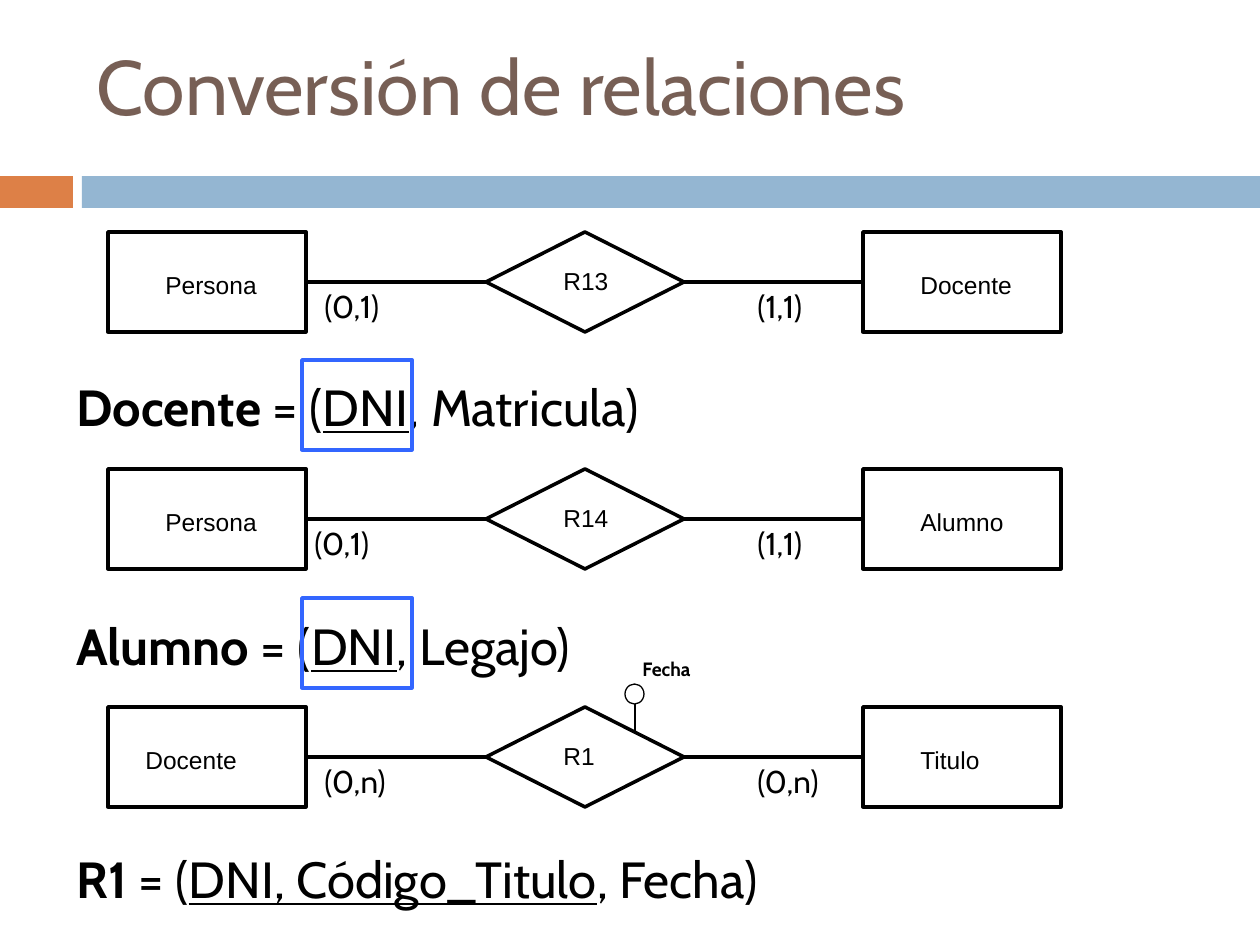
from dataclasses import dataclass

from pptx import Presentation
from pptx.dml.color import RGBColor
from pptx.enum.shapes import MSO_CONNECTOR as CONN, MSO_SHAPE as SHAPE
from pptx.enum.text import MSO_ANCHOR as ANCHOR, MSO_AUTO_SIZE as AUTO, PP_ALIGN as ALIGN
from pptx.util import Emu, Pt
from lxml.etree import SubElement
from pptx.oxml.ns import qn

BLACK = RGBColor(0x00, 0x00, 0x00)
BROWN = RGBColor(0x77, 0x5F, 0x55)
ORANGE = RGBColor(0xDD, 0x80, 0x47)
LIGHT_BLUE = RGBColor(0x94, 0xB6, 0xD2)
KEY_BLUE = RGBColor(0x33, 0x66, 0xFF)

PX_PER_INCH = 126
BOX_W, BOX_H = 198, 100
LEFT_X, DIAMOND_X, RIGHT_X = 108, 486, 863


@dataclass(frozen=True)
class Run:
    text: str
    bold: bool = False
    underline: bool = False


@dataclass(frozen=True)
class Relation:
    top: int
    left: str
    name: str
    right: str
    left_card: str
    right_card: str
    formula_y: int
    formula: tuple[Run, ...]
    left_label_x: int = 153
    left_card_x: int = 312


def formula(table: str, key: str, rest: str) -> tuple[Run, ...]:
    return Run(table, bold=True), Run(" = ("), Run(key, underline=True), Run(rest)


RELATIONS = (
    Relation(232, "Persona", "R13", "Docente", "(0,1)", "(1,1)", 370,
             formula("Docente", "DNI", ", Matricula)")),
    Relation(469, "Persona", "R14", "Alumno", "(0,1)", "(1,1)", 609,
             formula("Alumno", "DNI", ", Legajo)"), left_card_x=302),
    Relation(707, "Docente", "R1", "Titulo", "(0,n)", "(0,n)", 842,
             formula("R1", "DNI, Código_Titulo", ", Fecha)"), left_label_x=133),
)
KEY_TOPS = (360, 598)


def px(n: int) -> Emu:
    return Emu(round(n * 914400 / PX_PER_INCH))


def place(x: int, y: int, w: int, h: int) -> tuple[Emu, ...]:
    return px(x), px(y), px(w), px(h)


def add_runs(p, runs: tuple[Run, ...], size: int, font: str, color: RGBColor) -> None:
    for run in runs:
        r = p.add_run()
        r.text = run.text
        r.font.size, r.font.name = Pt(size), font
        r.font.bold, r.font.underline = run.bold, run.underline
        r.font.color.rgb = color


def add_text(s, x: int, y: int, w: int, h: int, runs: tuple[Run, ...],
             size: int, font: str = "Cabin") -> None:
    tf = s.shapes.add_textbox(*place(x, y, w, h)).text_frame
    tf.word_wrap, tf.auto_size = True, AUTO.SHAPE_TO_FIT_TEXT
    add_runs(tf.paragraphs[0], runs, size, font, BLACK)


def add_bar(s, x: int, w: int, color: RGBColor) -> None:
    sp = s.shapes.add_shape(SHAPE.RECTANGLE, *place(x, 176, w, 32))
    sp.shadow.inherit = False
    sp.fill.solid()
    sp.fill.fore_color.rgb = color
    sp.line.fill.background()


def add_outline(s, kind: SHAPE, x: int, y: int, w: int, h: int,
                color: RGBColor = BLACK, width: float = 2) -> None:
    sp = s.shapes.add_shape(kind, *place(x, y, w, h))
    sp.shadow.inherit = False
    sp.fill.background()
    sp.line.color.rgb, sp.line.width = color, Pt(width)


def add_line(s, x1: int, y1: int, x2: int, y2: int, width: float = 2) -> None:
    line = s.shapes.add_connector(CONN.STRAIGHT, *place(x1, y1, x2, y2))
    line.line.color.rgb, line.line.width = BLACK, Pt(width)
    SubElement(line._element.spPr, qn("a:effectLst"))


def add_relation(s, rel: Relation) -> None:
    top, middle = rel.top, rel.top + BOX_H // 2
    # Entities, diamond and the lines that join them
    for kind, x in ((SHAPE.RECTANGLE, LEFT_X), (SHAPE.FLOWCHART_DECISION, DIAMOND_X),
                    (SHAPE.RECTANGLE, RIGHT_X)):
        add_outline(s, kind, x, top, BOX_W, BOX_H)
    for x1, x2 in ((DIAMOND_X, LEFT_X + BOX_W), (DIAMOND_X + BOX_W, RIGHT_X)):
        add_line(s, x1, middle, x2, middle)
    # Names
    for text, x, dy, w in ((rel.left, rel.left_label_x, 32, 149),
                           (rel.name, 551, 28, 118), (rel.right, 908, 32, 149)):
        add_text(s, x, top + dy, w, 42, (Run(text),), 14, "Arial")
    # Cardinalities
    for text, x in ((rel.left_card, rel.left_card_x), (rel.right_card, 745)):
        add_text(s, x, middle - 1, 139, 50, (Run(text),), 18)
    # Resulting table
    add_text(s, 64, rel.formula_y, 1260, 73, rel.formula, 29)


def main() -> None:
    prs = Presentation()
    prs.slide_width, prs.slide_height = px(1260), px(945)
    s = prs.slides.add_slide(prs.slide_layouts[5])

    # Title and band
    title = s.shapes.title
    title.left, title.top, title.width, title.height = place(84, 32, 1124, 136)
    tf = title.text_frame
    tf.vertical_anchor, tf.auto_size = ANCHOR.TOP, AUTO.NONE
    tf.paragraphs[0].alignment = ALIGN.LEFT
    add_runs(tf.paragraphs[0], (Run("Conversión de relaciones"),), 44, "Cabin", BROWN)
    add_bar(s, 0, 73, ORANGE)
    add_bar(s, 82, 1178, LIGHT_BLUE)

    for rel in RELATIONS:
        add_relation(s, rel)

    # Attribute of R1
    add_line(s, 635, 704, 635, 733, 0.75)
    add_outline(s, SHAPE.OVAL, 625, 684, 19, 20, width=0.75)
    add_text(s, 630, 651, 139, 35, (Run("Fecha", bold=True),), 11)

    # Frames around the inherited keys
    for y in KEY_TOPS:
        add_outline(s, SHAPE.RECTANGLE, 302, y, 110, 90, KEY_BLUE)

    prs.save("out.pptx")


if __name__ == "__main__":
    main()
